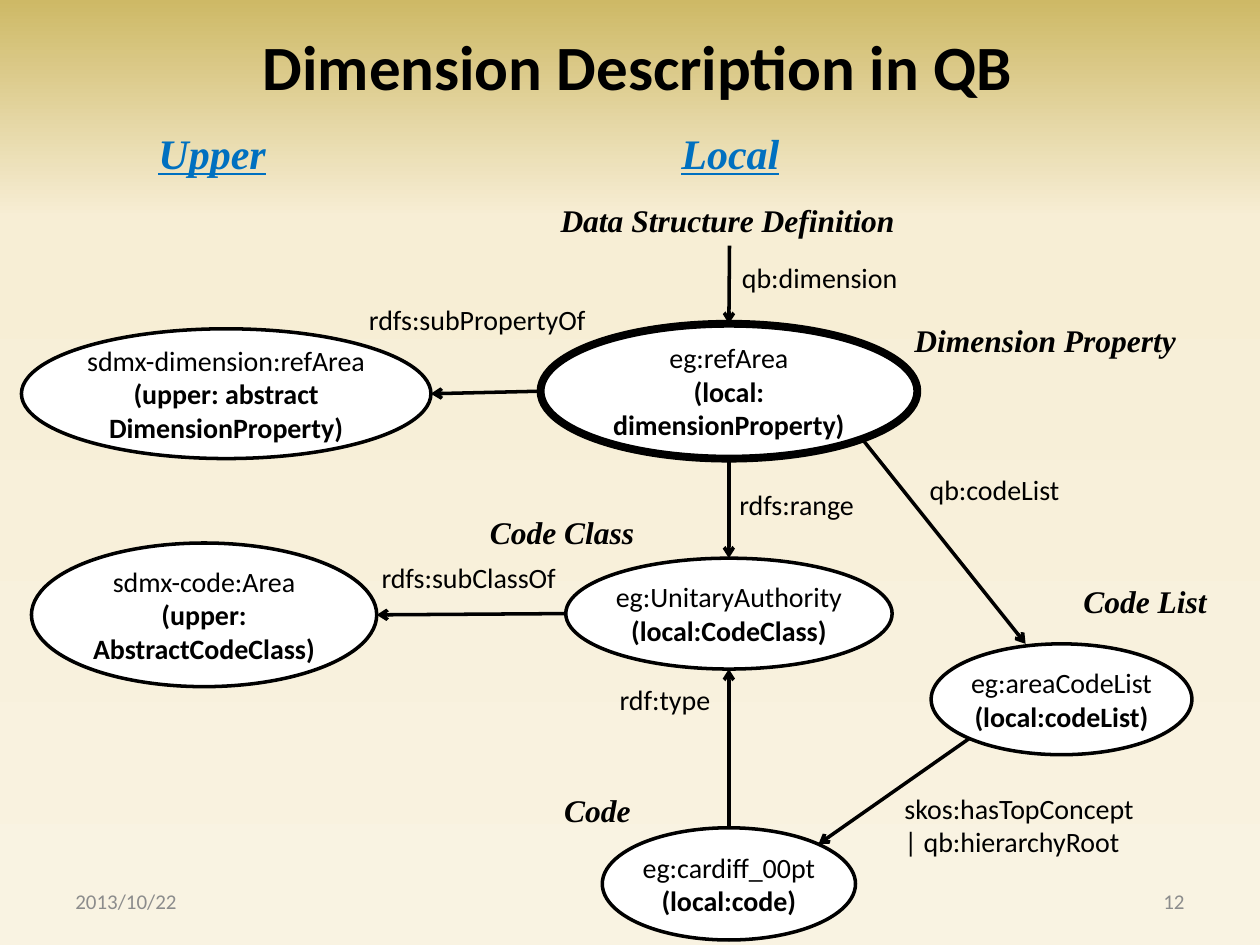
from math import cos, radians, sin

from lxml import etree
from pptx import Presentation
from pptx.dml.color import RGBColor
from pptx.enum.shapes import MSO_CONNECTOR, MSO_SHAPE
from pptx.enum.text import MSO_ANCHOR, MSO_AUTO_SIZE, PP_ALIGN
from pptx.oxml import parse_xml
from pptx.oxml.ns import qn
from pptx.util import Inches, Pt

LEFT, CENTER, RIGHT = PP_ALIGN.LEFT, PP_ALIGN.CENTER, PP_ALIGN.RIGHT
TOP, MIDDLE = MSO_ANCHOR.TOP, MSO_ANCHOR.MIDDLE
FIXED, GROW = MSO_AUTO_SIZE.NONE, MSO_AUTO_SIZE.SHAPE_TO_FIT_TEXT
ELLIPSE, STRAIGHT = MSO_SHAPE.OVAL, MSO_CONNECTOR.STRAIGHT

COLUMNS, ROWS = 100, 75
COLORS = {"ink": "000000", "paper": "FFFFFF", "heading": "0070C0", "footer": "8C8C8C"}
BACKGROUND = [(0, "CEB966", 100), (23, "F7EED5", 77), (100, "F9F3E2", 100)]
SANS, SERIF = "Calibri", "Times New Roman"
STYLES = {
    "title": ("ink", {"name": SANS, "size": Pt(36), "bold": True}),
    "heading": ("heading", {"name": SERIF, "size": Pt(24), "bold": True,
                            "italic": True, "underline": True}),
    "concept": ("ink", {"name": SERIF, "size": Pt(18), "bold": True, "italic": True}),
    "label": ("ink", {"name": SANS, "size": Pt(16)}),
    "role": ("ink", {"name": SANS, "size": Pt(16), "bold": True}),
    "footer": ("footer", {"name": SANS, "size": Pt(12)}),
}
ANGLES = {"right": 0, "bottom right": 45, "bottom": 90, "bottom left": 135,
          "left": 180, "top": 270, "top right": 315}

NODES = {
    "code": ((47.8, 65.7, 20.1, 8.9), "eg:cardiff_00pt", "(local:code)", 2),
    "upper property": ((1.7, 26.1, 32.5, 10.3), "sdmx-dimension:refArea",
                       "(upper: abstract DimensionProperty)", 2),
    "property": ((42.9, 25.7, 29.9, 10.7), "eg:refArea",
                 "(local: dimensionProperty)", 4.5),
    "code list": ((73.9, 51.1, 20.7, 8.8), "eg:areaCodeList", "(local:codeList)", 2),
    "class": ((44.9, 44.3, 25.9, 8.8), "eg:UnitaryAuthority", "(local:CodeClass)", 2),
    "upper class": ((2.5, 43.1, 27.4, 11.4), "sdmx-code:Area",
                    "(upper: AbstractCodeClass)", 2),
}
ARROWS = [
    (("property", "bottom right"), (81.4, 51.1)),
    (("property", "bottom"), ("class", "top")),
    (("code", "top"), ("class", "bottom")),
    (("property", "left"), ("upper property", "right")),
    (("class", "left"), ("upper class", "right")),
    (("code list", "bottom left"), ("code", "top right")),
    ((57.9, 19.5), ("property", "top")),
]
HEADINGS = [("Upper", (11.6, 9.6, 10.6, 5)), ("Local", (53.1, 9.6, 9.9, 5))]
CONCEPTS = [
    ("Data Structure Definition", (43.5, 15.5, 28.8, 4)),
    ("Dimension Property", (71.6, 25, 23, 4)),
    ("Code Class", (37.9, 40.2, 13.6, 4)),
    ("Code List", (85, 45.7, 11.9, 4)),
    ("Code", (43.8, 62.3, 7.3, 4)),
]
LABELS = [
    (["qb:dimension"], (57.9, 20.2, 16.3, 3.7)),
    (["rdfs:subPropertyOf"], (28.3, 23.5, 20.5, 3.7)),
    (["rdfs:range"], (57.7, 38.2, 13, 3.7)),
    (["qb:codeList"], (72.8, 37, 16, 3.7)),
    (["rdfs:subClassOf"], (29.3, 44, 16.3, 3.7)),
    (["rdf:type"], (48.2, 53.7, 9.7, 3.7)),
    (["skos:hasTopConcept", "| qb:hierarchyRoot"], (70.8, 62.3, 21.2, 6.4)),
]


class Diagram:
    """Draws styled elements on one slide, placed in grid columns and rows."""

    def __init__(self, deck):
        self.page = deck.slides.add_slide(deck.slide_layouts[5])
        self.column = deck.slide_width / COLUMNS
        self.row = deck.slide_height / ROWS
        self.nodes = {}

    def place(self, *cells):
        units = (self.column, self.row) * 2
        return [round(cell * unit) for cell, unit in zip(cells, units)]

    def background(self, stops):
        self.page.background.fill.gradient()
        gradient = self.page.element.find(".//" + qn("a:gradFill"))
        marks = "".join(
            f'<a:gs pos="{share * 1000}"><a:srgbClr val="{color}">'
            f'<a:alpha val="{alpha * 1000}"/></a:srgbClr></a:gs>'
            for share, color, alpha in stops)
        gradient.getparent().replace(gradient, parse_xml(
            '<a:gradFill xmlns:a="http://schemas.openxmlformats.org/drawingml/2006/main"'
            f' rotWithShape="1"><a:gsLst>{marks}</a:gsLst>'
            '<a:lin ang="5400000" scaled="0"/></a:gradFill>'))

    def fill_text(self, frame, lines, align, **layout):
        for name, value in layout.items():
            setattr(frame, name, value)
        for index, (text, style) in enumerate(lines):
            para = frame.paragraphs[0] if index == 0 else frame.add_paragraph()
            para.alignment = align
            span = para.add_run()
            span.text = text
            color, values = STYLES[style]
            for name, value in values.items():
                setattr(span.font, name, value)
            span.font.color.rgb = RGBColor.from_string(COLORS[color])

    def title(self, text, cells):
        box = self.page.shapes.title
        box.left, box.top, box.width, box.height = self.place(*cells)
        self.fill_text(box.text_frame, [(text, "title")], CENTER, word_wrap=True,
                       vertical_anchor=TOP, auto_size=FIXED)

    def text(self, lines, style, cells, align=LEFT, wrap=True, anchor=TOP, size=GROW):
        box = self.page.shapes.add_textbox(*self.place(*cells))
        self.fill_text(box.text_frame, [(line, style) for line in lines], align,
                       word_wrap=wrap, vertical_anchor=anchor, auto_size=size)

    def node(self, key, cells, name, role, weight):
        shape = self.page.shapes.add_shape(ELLIPSE, *self.place(*cells))
        shape.shadow.inherit = False
        shape.fill.solid()
        shape.fill.fore_color.rgb = RGBColor.from_string(COLORS["paper"])
        self.outline(shape.line, weight)
        self.fill_text(shape.text_frame, [(name, "label"), (role, "role")], CENTER,
                       word_wrap=True, vertical_anchor=MIDDLE,
                       margin_left=0, margin_right=0)
        self.nodes[key] = shape

    def outline(self, line, weight):
        line.color.rgb = RGBColor.from_string(COLORS["ink"])
        line.width = Pt(weight)

    def point(self, end):
        if end[0] not in self.nodes:
            return self.place(*end)
        shape, angle = self.nodes[end[0]], radians(ANGLES[end[1]])
        return [round(shape.left + shape.width * (1 + cos(angle)) / 2),
                round(shape.top + shape.height * (1 + sin(angle)) / 2)]

    def arrow(self, start, end):
        line = self.page.shapes.add_connector(
            STRAIGHT, *self.point(start), *self.point(end))
        for place, join in ((start, line.begin_connect), (end, line.end_connect)):
            if place[1] == "top":
                join(self.nodes[place[0]], 0)
        self.outline(line.line, 2)
        properties = line.element.spPr
        etree.SubElement(properties.find(qn("a:ln")), qn("a:tailEnd"), type="arrow")
        etree.SubElement(properties, qn("a:effectLst"))


def main():
    deck = Presentation()
    deck.slide_width, deck.slide_height = Inches(10), Inches(7.5)
    diagram = Diagram(deck)
    diagram.background(BACKGROUND)
    diagram.title("Dimension Description in QB", (3.3, 1.7, 94.6, 7.1))
    for key, node in NODES.items():
        diagram.node(key, *node)
    for start, end in ARROWS:
        diagram.arrow(start, end)
    for style, items in (("heading", HEADINGS), ("concept", CONCEPTS)):
        for text, cells in items:
            diagram.text([text], style, cells, wrap=False)
    for lines, cells in LABELS:
        diagram.text(lines, "label", cells)
    for text, left, align in (("2013/10/22", 5, LEFT), ("12", 71.7, RIGHT)):
        diagram.text([text], "footer", (left, 69.5, 23.3, 4), align,
                     anchor=MIDDLE, size=FIXED)
    deck.save("out.pptx")


if __name__ == "__main__":
    main()
